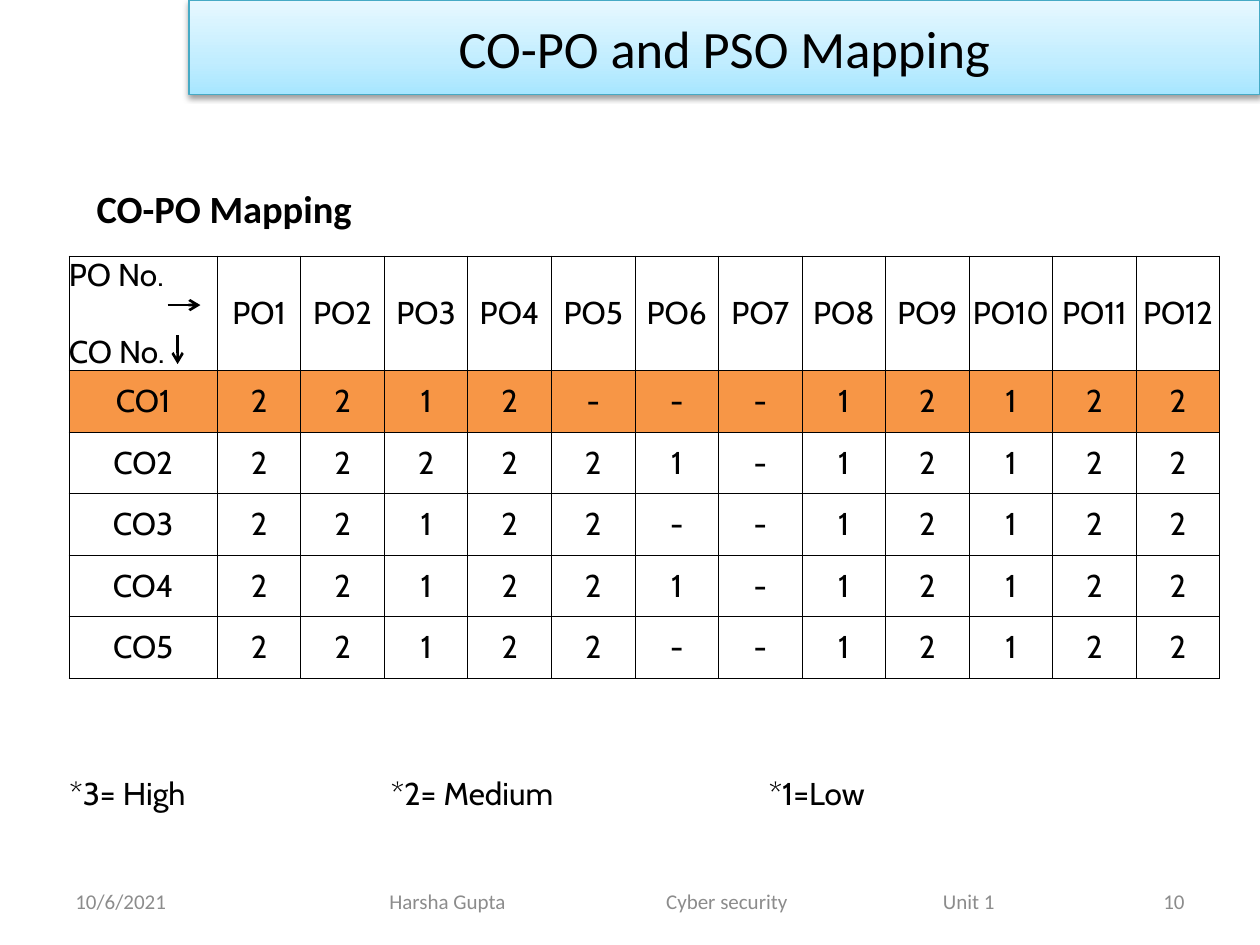
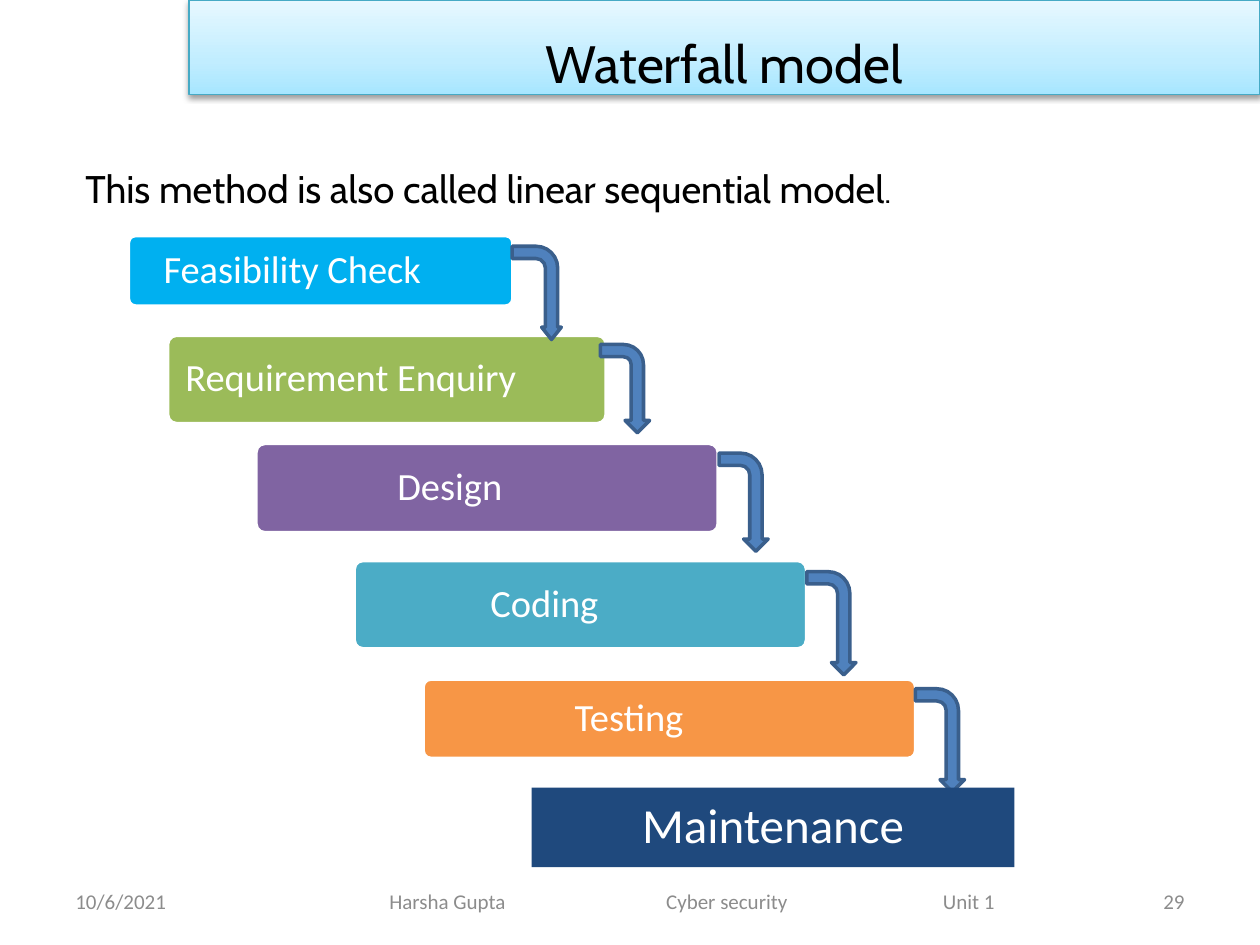
import lxml.etree
import pptx
import pptx.dml.color
import pptx.enum.shapes
import pptx.enum.text
import pptx.oxml
import pptx.oxml.ns
import pptx.util

Cm = pptx.util.Cm
Pt = pptx.util.Pt
RGBColor = pptx.dml.color.RGBColor
ALIGN = pptx.enum.text.PP_ALIGN
MIDDLE = pptx.enum.text.MSO_ANCHOR.MIDDLE
SHAPE = pptx.enum.shapes.MSO_SHAPE
qn = pptx.oxml.ns.qn

BLACK = RGBColor(0x00, 0x00, 0x00)
WHITE = RGBColor(0xFF, 0xFF, 0xFF)
GREY = RGBColor(0x8C, 0x8C, 0x8C)
SKY = RGBColor(0x00, 0xB0, 0xF0)
GREEN = RGBColor(0x9B, 0xBB, 0x59)
PURPLE = RGBColor(0x80, 0x64, 0xA2)
TEAL = RGBColor(0x4B, 0xAC, 0xC6)
ORANGE = RGBColor(0xF7, 0x96, 0x46)
NAVY = RGBColor(0x1F, 0x49, 0x7D)
BLUE = RGBColor(0x4F, 0x81, 0xBD)
BLUE_EDGE = RGBColor(0x3A, 0x5F, 0x8C)
BAND_EDGE = RGBColor(0x46, 0xAA, 0xC5)
BAND_STOPS = [
    (0, RGBColor(0xA7, 0xE6, 0xFF)),
    (35, RGBColor(0xC1, 0xED, 0xFF)),
    (100, RGBColor(0xE7, 0xF8, 0xFF)),
]

BODY = "Cabin"
PLAIN = "Calibri"
DATE = "10/6/2021"
FOOTER = "Harsha Gupta\tCyber security\tUnit 1"


def add_xml(parent, body):
    ns = pptx.oxml.ns.nsdecls("a")
    root = pptx.oxml.parse_xml(f"<a:root {ns}>{body}</a:root>")
    for child in list(root):
        parent.append(child)


class Deck:
    def __init__(self):
        self.prs = pptx.Presentation()
        self.prs.slide_width = Cm(25.4)
        self.prs.slide_height = Cm(19.05)
        self.s = None

    def slide(self, title, number, font=PLAIN, spacing=1.0):
        self.s = self.prs.slides.add_slide(self.prs.slide_layouts[5])
        self.title(title, font, spacing)
        self.text(DATE, 1.27, 17.65, 5.92, 1.02, 12, PLAIN, GREY)
        self.text(FOOTER, 6.99, 17.65, 13.97, 1.02, 12, PLAIN, GREY,
                  inset=0.86, tabs=(5.58, 11.16))
        self.text(number, 18.21, 17.65, 5.92, 1.02, 12, PLAIN, GREY, align=ALIGN.RIGHT)

    def title(self, text, font, spacing):
        sp = self.s.shapes.title
        sp.left, sp.top, sp.width, sp.height = Cm(3.81), Cm(0), Cm(21.59), Cm(1.9)
        spPr = sp._element.spPr
        stops = "".join(
            f'<a:gs pos="{pos * 1000}"><a:srgbClr val="{color}"/></a:gs>'
            for pos, color in BAND_STOPS)
        add_xml(spPr, '<a:prstGeom prst="rect"><a:avLst/></a:prstGeom>'
                      f'<a:gradFill rotWithShape="1"><a:gsLst>{stops}</a:gsLst>'
                      '<a:lin ang="16200000" scaled="1"/></a:gradFill>')
        sp.line.color.rgb = BAND_EDGE
        sp.line.width = Pt(0.75)
        add_xml(spPr, '<a:effectLst><a:outerShdw blurRad="40000" dist="20000" dir="5400000" '
                      'rotWithShape="0"><a:srgbClr val="000000"><a:alpha val="38000"/>'
                      '</a:srgbClr></a:outerShdw></a:effectLst>')
        tf = sp.text_frame
        tf.text = text
        tf.auto_size = pptx.enum.text.MSO_AUTO_SIZE.NONE
        tf.vertical_anchor = MIDDLE
        p = tf.paragraphs[0]
        p.line_spacing = spacing
        self.style(p, 30, font, BLACK, ALIGN.CENTER)

    def style(self, p, size, font, color, align=ALIGN.LEFT, bold=False):
        p.alignment = align
        p.font.size = Pt(size)
        p.font.name = font
        p.font.color.rgb = color
        p.font.bold = bold

    def text(self, text, left, top, width, height, size, font=BODY, color=BLACK,
             align=ALIGN.LEFT, bold=False, inset=0.25, tabs=()):
        sp = self.s.shapes.add_textbox(Cm(left), Cm(top), Cm(width), Cm(height))
        tf = sp.text_frame
        tf.word_wrap = True
        tf.vertical_anchor = MIDDLE
        tf.margin_left = Cm(inset)
        p = tf.paragraphs[0]
        p.text = text
        if tabs:
            stops = "".join(f'<a:tab pos="{Cm(tab)}" algn="l"/>' for tab in tabs)
            add_xml(p._p.get_or_add_pPr(), f"<a:tabLst>{stops}</a:tabLst>")
        self.style(p, size, font, color, align, bold)
        return p

    def shape(self, kind, left, top, width, height, fill, edge=None):
        sp = self.s.shapes.add_shape(kind, Cm(left), Cm(top), Cm(width), Cm(height))
        sp.shadow.inherit = False
        sp.fill.solid()
        sp.fill.fore_color.rgb = fill
        if edge is None:
            sp.line.fill.background()
        else:
            sp.line.color.rgb = edge
            sp.line.width = Pt(2)
        return sp

    def label(self, sp, text, size, inset, gap=0):
        tf = sp.text_frame
        tf.word_wrap = True
        tf.vertical_anchor = MIDDLE
        tf.margin_left = tf.margin_top = tf.margin_bottom = Cm(inset)
        tf.margin_right = Cm(inset + gap)
        p = tf.paragraphs[0]
        p.text = text
        p.line_spacing = 0.9
        self.style(p, size, PLAIN, WHITE, ALIGN.CENTER)

    def stage(self, text, left, top, width, height, fill, gap):
        sp = self.shape(SHAPE.ROUNDED_RECTANGLE, left, top, width, height, fill, WHITE)
        sp.adjustments[0] = 0.1
        self.label(sp, text, 22, 0.23, gap)

    def bent_arrow(self, left, top, length, tip=0.25, bend=0.44):
        sp = self.shape(SHAPE.BENT_ARROW, left, top, length, 0.99, BLUE, BLUE_EDGE)
        sp.rotation = 90
        for i, value in enumerate((0.25, tip, 0.25, bend)):
            sp.adjustments[i] = value

    def arrow(self, x1, y1, x2, y2):
        line = self.s.shapes.add_connector(
            pptx.enum.shapes.MSO_CONNECTOR.STRAIGHT, Cm(x1), Cm(y1), Cm(x2), Cm(y2))
        line.line.color.rgb = BLACK
        line.line.width = Pt(1.5)
        add_xml(line.line._get_or_add_ln(), '<a:tailEnd type="arrow"/>')
        add_xml(line._element.spPr, "<a:effectLst/>")

    def table(self, rows, left, top, widths, heights, marked_row):
        frame = self.s.shapes.add_table(
            len(rows), len(widths), Cm(left), Cm(top), Cm(sum(widths)), Cm(sum(heights)))
        table = frame.table
        table.first_row = table.horz_banding = False
        for column, width in zip(table.columns, widths):
            column.width = Cm(width)
        for row, height in zip(table.rows, heights):
            row.height = Cm(height)
        for i, row in enumerate(rows):
            for j, text in enumerate(row):
                self.cell(table.cell(i, j), text, ORANGE if i == marked_row else None)
        return table

    def cell(self, cell, text, fill):
        cell.margin_left = cell.margin_right = cell.margin_top = cell.margin_bottom = 0
        cell.vertical_anchor = MIDDLE
        tcPr = cell._tc.get_or_add_tcPr()
        for side in "LRTB":
            ln = lxml.etree.SubElement(tcPr, qn(f"a:ln{side}"), w=str(Pt(0.5)))
            add_xml(ln, f'<a:solidFill><a:srgbClr val="{BLACK}"/></a:solidFill>')
        if fill is None:
            cell.fill.background()
        else:
            cell.fill.solid()
            cell.fill.fore_color.rgb = fill
        cell.text_frame.text = text
        for p in cell.text_frame.paragraphs:
            self.style(p, 18, BODY, BLACK, ALIGN.CENTER)


def mapping_slide(deck):
    deck.slide("CO-PO and PSO Mapping", "10")
    deck.text("*3= High\t*2= Medium\t*1=Low", 0, 15.47, 24.82, 1.02, 18,
              inset=1.4, tabs=(6.48, 14.1))
    scores = ["2212---12122", "222221-12122", "21122--12122".replace("211", "221", 1),
              "221221-12122", "22122--12122"]
    scores[2] = scores[4]
    rows = [["PO No.\nCO No."] + [f"PO{n}" for n in range(1, 13)]]
    rows += [[f"CO{n}", *marks] for n, marks in enumerate(scores, 1)]
    table = deck.table(rows, 1.39, 5.16, [2.99] + [20.22 / 12] * 12,
                       [2.31] + [1.24] * 5, marked_row=1)
    corner = table.cell(0, 0).text_frame.paragraphs
    for p in corner:
        p.alignment = ALIGN.LEFT
    corner[1].space_before = Pt(22)
    deck.arrow(3.38, 6.15, 4.04, 6.15)
    deck.arrow(3.58, 6.76, 3.58, 7.34)
    deck.text("CO-PO Mapping", 1.19, 3.6, 10.52, 1.2, 22, PLAIN, bold=True, inset=0.76)


def waterfall_slide(deck):
    deck.slide("Waterfall model", "29", BODY, 1.5)
    p = deck.text("This method is also called linear sequential model",
                  1.47, 3.2, 22.86, 1.2, 22)
    r = p.add_run()
    r.text = "."
    r.font.size = Pt(18)
    stages = [
        ("Feasibility Check", 2.59, 4.75, 7.75, 1.42, SKY, 1.14),
        ("Requirement Enquiry", 3.38, 6.76, 8.84, 1.78, GREEN, 1.45),
        ("Design", 5.16, 8.94, 9.32, 1.8, PURPLE, 1.5),
        ("Coding", 7.14, 11.3, 9.12, 1.78, TEAL, 1.45),
        ("Testing", 8.53, 13.69, 9.93, 1.6, ORANGE, 1.63),
    ]
    for stage in stages:
        deck.stage(*stage)
    arrows = [
        (9.88, 5.41, 1.88, 0.2),
        (11.71, 7.34, 1.78, 0.25, 0.41),
        (14, 9.63, 1.98),
        (15.72, 12.07, 2.08),
        (17.91, 14.43, 2.08),
    ]
    for arrow in arrows:
        deck.bent_arrow(*arrow)
    sp = deck.shape(SHAPE.RECTANGLE, 10.72, 15.88, 9.73, 1.6, NAVY)
    deck.label(sp, "Maintenance", 28, 0.3)


def main():
    deck = Deck()
    mapping_slide(deck)
    waterfall_slide(deck)
    deck.prs.save("out.pptx")


if __name__ == "__main__":
    main()
